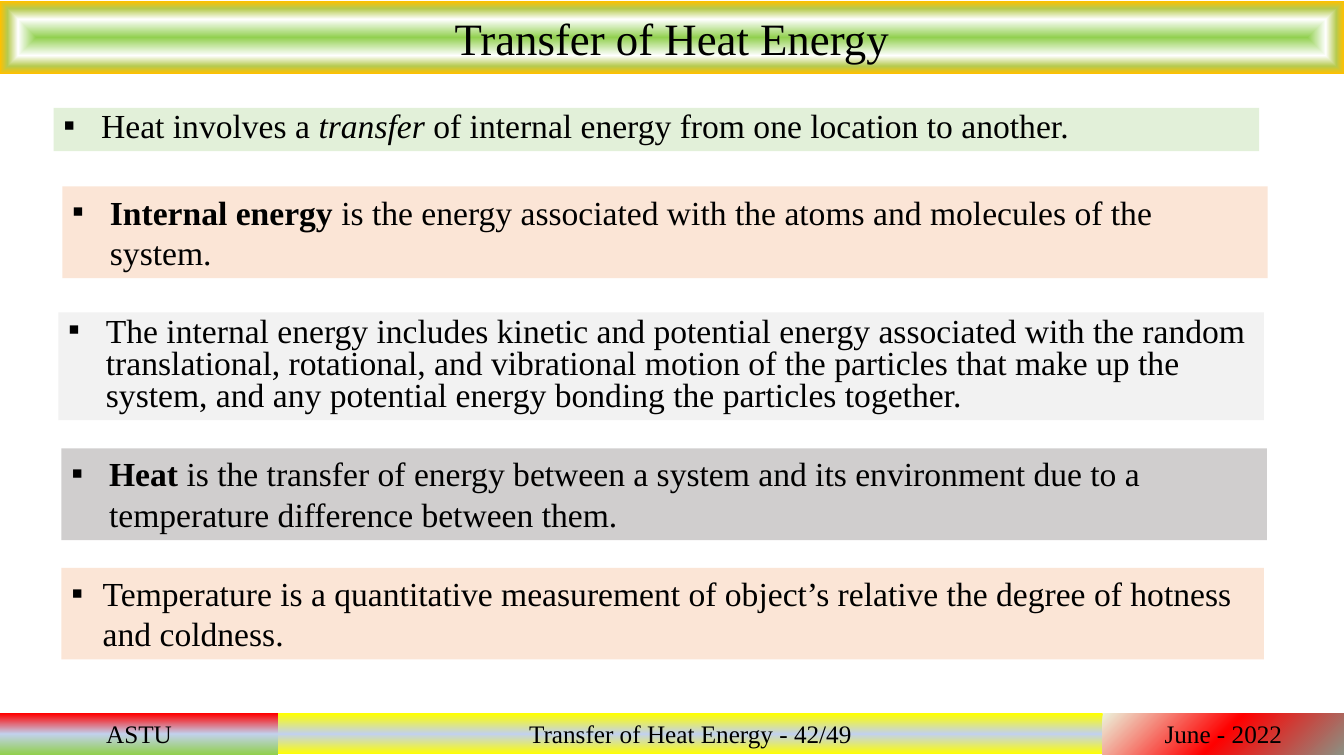
from lxml import etree
from pptx import Presentation
from pptx.dml.color import RGBColor
from pptx.enum.shapes import MSO_SHAPE
from pptx.enum.text import MSO_ANCHOR, MSO_AUTO_SIZE, PP_ALIGN
from pptx.oxml.ns import qn
from pptx.util import Cm, Pt

RECT = MSO_SHAPE.RECTANGLE
TOP, MIDDLE = MSO_ANCHOR.TOP, MSO_ANCHOR.MIDDLE
GROW, FIXED = MSO_AUTO_SIZE.SHAPE_TO_FIT_TEXT, MSO_AUTO_SIZE.NONE
LEFT, CENTER = PP_ALIGN.LEFT, PP_ALIGN.CENTER
FONT = "Times New Roman"
COLORS = {
    "text": "000000", "mint": "E2F0D9", "peach": "FBE5D6", "light": "F2F2F2",
    "gray": "D0CECE", "green": "92D050", "white": "FFFFFF", "olive": "B6CA4F",
    "gold": "FFC000", "yellow": "FFFF00", "blue": "C2D1ED", "red": "FF0000",
    "stone": "8C9083", "cream": "ECF3DC",
}

prs = Presentation()
prs.slide_width, prs.slide_height = Cm(33.87), Cm(19.05)
s = prs.slides.add_slide(prs.slide_layouts[6])


def add_box(box, runs, size, align, anchor=TOP, fit=GROW):
    """Add a borderless rectangle holding one paragraph of (text, style) runs."""
    sp = s.shapes.add_shape(RECT, *[Cm(v) for v in box])
    sp.shadow.inherit = False
    sp.line.fill.background()
    tf = sp.text_frame
    tf.word_wrap = True
    tf.auto_size = fit
    tf.vertical_anchor = anchor
    p = tf.paragraphs[0]
    p.alignment = align
    for text, style in runs:
        r = p.add_run()
        r.text = text
        r.font.name, r.font.size = FONT, Pt(size)
        r.font.bold, r.font.italic = style == "bold", style == "italic"
        r.font.color.rgb = RGBColor.from_string(COLORS["text"])
    return sp


def set_gradient(sp, stops, path=None, focus=None):
    """Fill with a vertical gradient, or a path one with focus as l, t, r, b percent."""
    sp.fill.gradient()
    grad = sp._element.spPr.find(qn("a:gradFill"))
    for child in list(grad):
        grad.remove(child)
    stop_list = etree.SubElement(grad, qn("a:gsLst"))
    for pos, color in stops:
        gs = etree.SubElement(stop_list, qn("a:gs"), pos=str(pos * 1000))
        etree.SubElement(gs, qn("a:srgbClr"), val=COLORS[color])
    if path:
        shade = etree.SubElement(grad, qn("a:path"), path=path)
        sides = {side: str(v * 1000) for side, v in zip("ltrb", focus)}
        etree.SubElement(shade, qn("a:fillToRect"), **sides)
    else:
        etree.SubElement(grad, qn("a:lin"), ang="5400000", scaled="0")


# Bulleted statements: box, fill, indent, line spacing, runs
statements = [
    ((1.35, 2.72, 30.38, 1.09), "mint", 0.95, 0.8, [
        ("Heat involves a ", None), ("transfer ", "italic"),
        ("of internal energy from one location to another.", None)]),
    ((1.57, 4.7, 30.38, 2.31), "peach", 0.95, 1.0, [
        ("Internal energy ", "bold"),
        ("is the energy associated with the atoms and molecules of the system.", None)]),
    ((1.47, 7.87, 30.38, 2.72), "light", 0.95, 0.8, [
        ("The internal energy includes kinetic and potential energy associated with "
         "the random translational, rotational, and vibrational motion of the "
         "particles that make up the system, and any potential energy bonding the "
         "particles together.", None)]),
    ((1.55, 11.3, 30.38, 2.31), "gray", 0.95, 1.0, [
        ("Heat ", "bold"),
        ("is the transfer of energy between a system and its environment due to a "
         "temperature difference between them.", None)]),
    ((1.55, 14.31, 30.3, 2.31), "peach", 0.79, 1.0, [
        ("Temperature is a quantitative measurement of object’s relative the degree "
         "of hotness and coldness.", None)]),
]
for box, fill, indent, spacing, runs in statements:
    sp = add_box(box, runs, 24, LEFT)
    sp.fill.solid()
    sp.fill.fore_color.rgb = RGBColor.from_string(COLORS[fill])
    p = sp.text_frame.paragraphs[0]
    pPr = p._p.get_or_add_pPr()
    pPr.set("marL", str(Cm(indent)))
    pPr.set("indent", str(-Cm(indent)))
    etree.SubElement(pPr, qn("a:buFont"), typeface=FONT)
    etree.SubElement(pPr, qn("a:buChar"), char="▪")
    p.line_spacing = spacing

# Title band
title = add_box((0, 0.03, 33.87, 1.83), [("Transfer of Heat Energy", None)],
                32, CENTER, MIDDLE, FIXED)
set_gradient(title, [(0, "green"), (50, "white"), (79, "olive"), (100, "gold")],
             "rect", (50, 50, 50, 50))

# Footer, left to right
footer = [
    (7.01, "ASTU", ("red", "blue", "green"), None, None),
    (20.78, "Transfer of Heat Energy - 42/49", ("yellow", "blue", "yellow"), None, None),
    (6.08, "June - 2022", ("stone", "red", "cream"), "circle", (100, 100, 0, 0)),
]
left = 0
for width, text, colors, path, focus in footer:
    sp = add_box((left, 17.98, width, 1.03), [(text, None)], 18, CENTER)
    set_gradient(sp, zip((0, 50, 100), colors), path, focus)
    left += width

prs.save("out.pptx")
